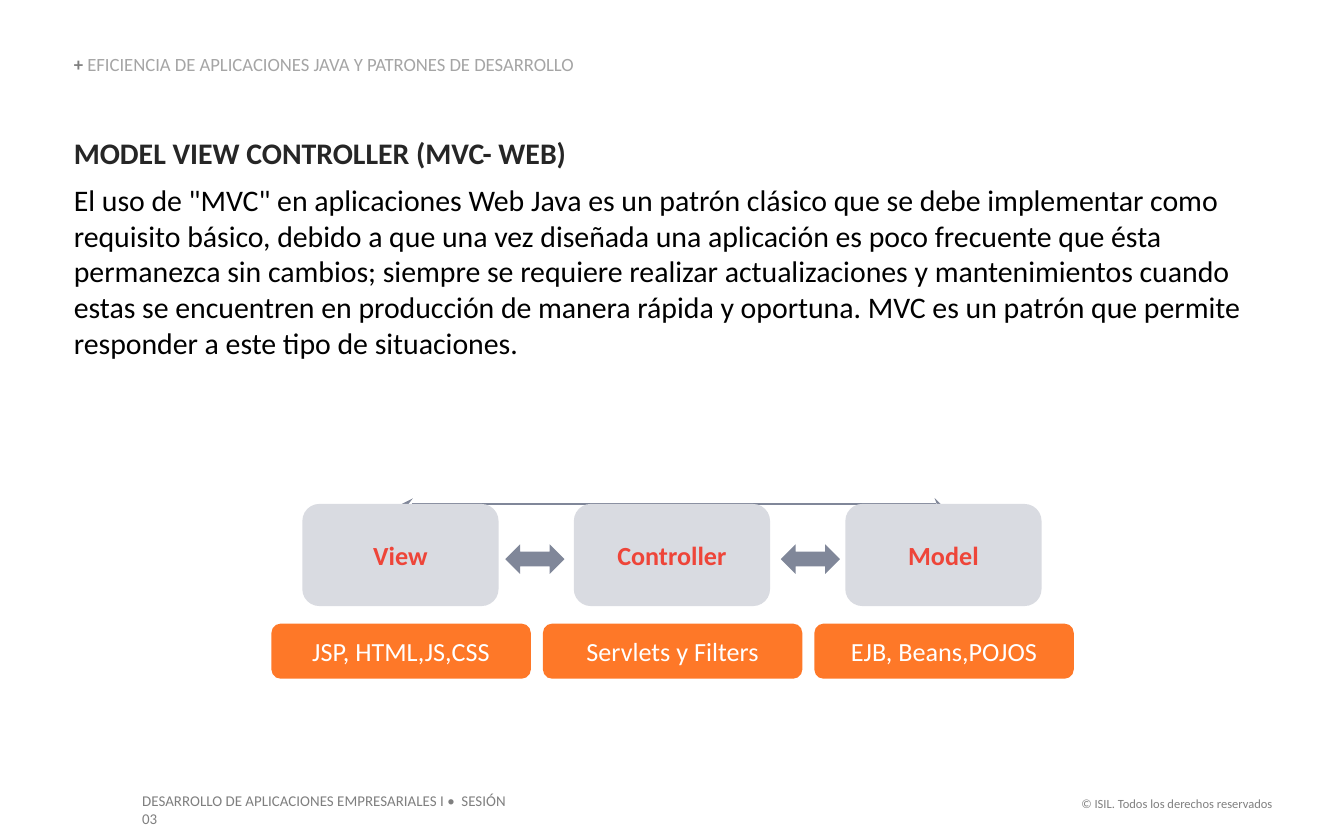
from lxml import etree
from pptx import Presentation
from pptx.dml.color import RGBColor
from pptx.enum.shapes import MSO_CONNECTOR, MSO_SHAPE
from pptx.enum.text import MSO_ANCHOR, PP_ALIGN
from pptx.oxml.ns import qn
from pptx.util import Inches, Pt

ROUND = MSO_SHAPE.ROUNDED_RECTANGLE
ARROW = MSO_SHAPE.LEFT_RIGHT_ARROW
ELBOW = MSO_CONNECTOR.ELBOW
TOP, MIDDLE, BOTTOM = MSO_ANCHOR.TOP, MSO_ANCHOR.MIDDLE, MSO_ANCHOR.BOTTOM
LEFT, CENTER, RIGHT = PP_ALIGN.LEFT, PP_ALIGN.CENTER, PP_ALIGN.RIGHT

GRAY = RGBColor(0x7F, 0x7F, 0x7F)
SILVER = RGBColor(0xA5, 0xA5, 0xA5)
DARK = RGBColor(0x26, 0x26, 0x26)
BLACK = RGBColor(0x00, 0x00, 0x00)
WHITE = RGBColor(0xFF, 0xFF, 0xFF)
SLATE = RGBColor(0x80, 0x87, 0x99)
PALE = RGBColor(0xD9, 0xDB, 0xE1)
RED = RGBColor(0xEE, 0x45, 0x39)
ORANGE = RGBColor(0xFE, 0x78, 0x28)

BODY = (
    'El uso de "MVC" en aplicaciones Web Java es un patrón clásico que se debe '
    "implementar como requisito básico, debido a que una vez diseñada una aplicación "
    "es poco frecuente que ésta permanezca sin cambios; siempre se requiere realizar "
    "actualizaciones y mantenimientos cuando estas se encuentren en producción de "
    "manera rápida y oportuna. MVC es un patrón que permite responder a este tipo de "
    "situaciones."
)
LAYERS = [
    ("View", "JSP, HTML,JS,CSS"),
    ("Controller", "Servlets y Filters"),
    ("Model", "EJB, Beans,POJOS"),
]


class Deck:
    """Draw styled elements on the current slide."""

    font = "Calibri"

    def __init__(self, slide):
        self.slide = slide

    def label(self, frame, lines, size, align=LEFT, **form):
        for key, value in {"word_wrap": True, **form}.items():
            setattr(frame, key, value)
        for i, runs in enumerate(lines):
            para = frame.add_paragraph() if i else frame.paragraphs[0]
            para.alignment = align
            if i:
                para.space_before = Pt(6)
            for text, color, bold in runs:
                run = para.add_run()
                run.text = text
                look = {"name": self.font, "size": Pt(size), "bold": bold}
                for key, value in look.items():
                    setattr(run.font, key, value)
                run.font.color.rgb = color

    def text(self, spot, lines, size, align=LEFT, anchor=TOP, inset=True):
        box = self.slide.shapes.add_textbox(*map(Inches, spot))
        side, edge = (Inches(0.1), Inches(0.05)) if inset else (0, 0)
        self.label(box.text_frame, lines, size, align, vertical_anchor=anchor,
                   margin_left=side, margin_right=side, margin_top=edge, margin_bottom=edge)
        return box

    def shape(self, kind, spot, fill):
        item = self.slide.shapes.add_shape(kind, *map(Inches, spot))
        item.shadow.inherit = False
        item.fill.solid()
        item.fill.fore_color.rgb = fill
        item.line.fill.background()
        return item

    def block(self, spot, fill, text, color, bold=False):
        item = self.shape(ROUND, spot, fill)
        self.label(item.text_frame, [[(text, color, bold)]], 14, CENTER,
                   vertical_anchor=MIDDLE)

    def link(self, start, end):
        wire = self.slide.shapes.add_connector(ELBOW, *map(Inches, start + end))
        wire.line.color.rgb = SLATE
        wire.line.width = Pt(1.5)
        props = wire._element.spPr
        bends = props.find(qn("a:prstGeom")).get_or_add_avLst()
        etree.SubElement(bends, qn("a:gd"), name="adj1", fmla="val 0")
        line = props.find(qn("a:ln"))
        for tag in ("a:headEnd", "a:tailEnd"):
            etree.SubElement(line, qn(tag), type="stealth")
        etree.SubElement(props, qn("a:effectLst"))


def main():
    show = Presentation()
    show.slide_width, show.slide_height = Inches(10), Inches(6.25)
    deck = Deck(show.slides.add_slide(show.slide_layouts[6]))

    deck.text((7.92, 5.87, 1.65, 0.21),
              [[("© ISIL. Todos los derechos reservados", GRAY, False)]], 6.7, RIGHT)
    deck.text((0.96, 5.84, 3.03, 0.24),
              [[("DESARROLLO DE APLICACIONES EMPRESARIALES I •  SESIÓN 03", GRAY, False)]], 8)
    head = deck.text(
        (0.55, 0.41, 6.81, 0.15),
        [[("+ ", GRAY, True),
          ("EFICIENCIA DE APLICACIONES JAVA Y PATRONES DE DESARROLLO", SILVER, False)]],
        10, anchor=BOTTOM, inset=False)
    head.text_frame.paragraphs[0].line_spacing = 0.9
    deck.text((0.55, 1, 8.93, 1.7),
              [[("MODEL VIEW CONTROLLER (MVC- WEB)", DARK, True)], [(BODY, BLACK, False)]],
              16, inset=False)

    deck.link((7.02, 3.77), (2.99, 3.75))
    for left in (3.76, 5.81):
        deck.shape(ARROW, (left, 4.05, 0.44, 0.22), SLATE)
    for i, (name, tools) in enumerate(LAYERS):
        step = 2.02 * i
        deck.block((2.25 + step, 3.75, 1.46, 0.76), PALE, name, RED, True)
        deck.block((2.02 + step, 4.64, 1.93, 0.41), ORANGE, tools, WHITE)

    show.save("out.pptx")


if __name__ == "__main__":
    main()
